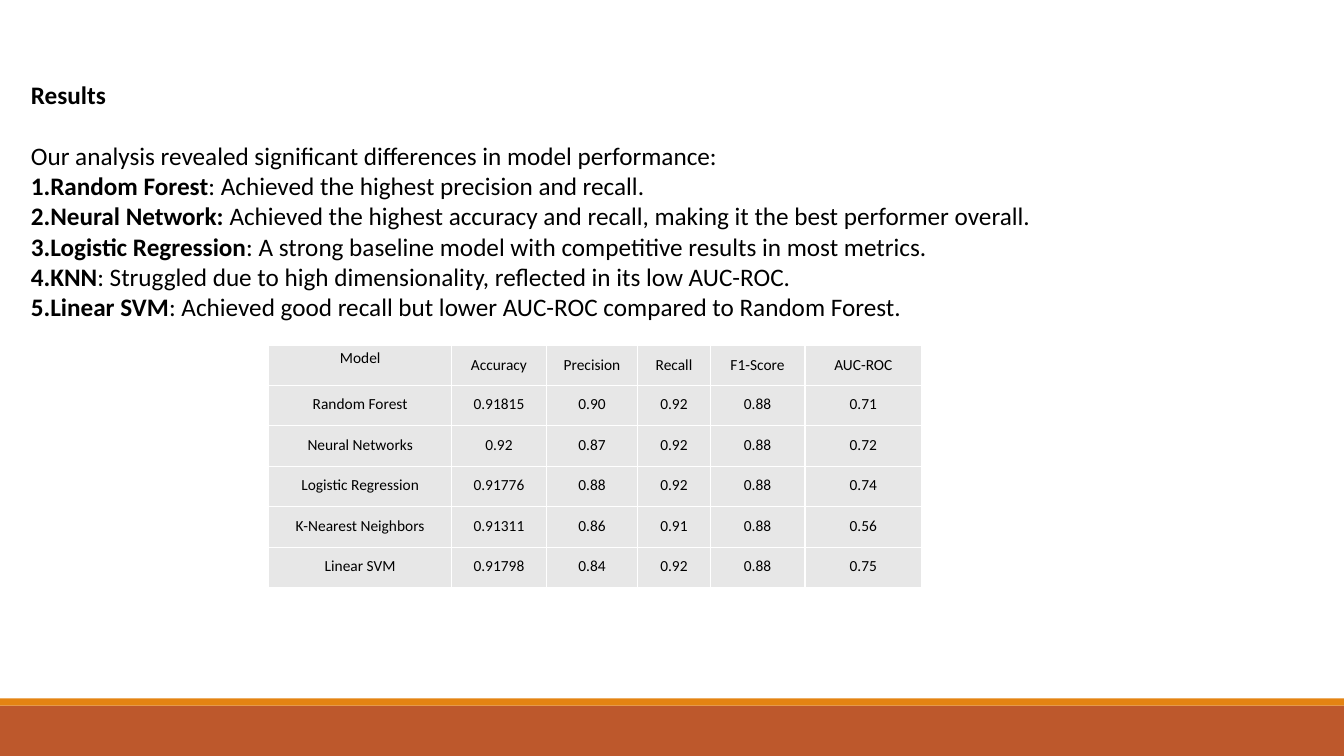
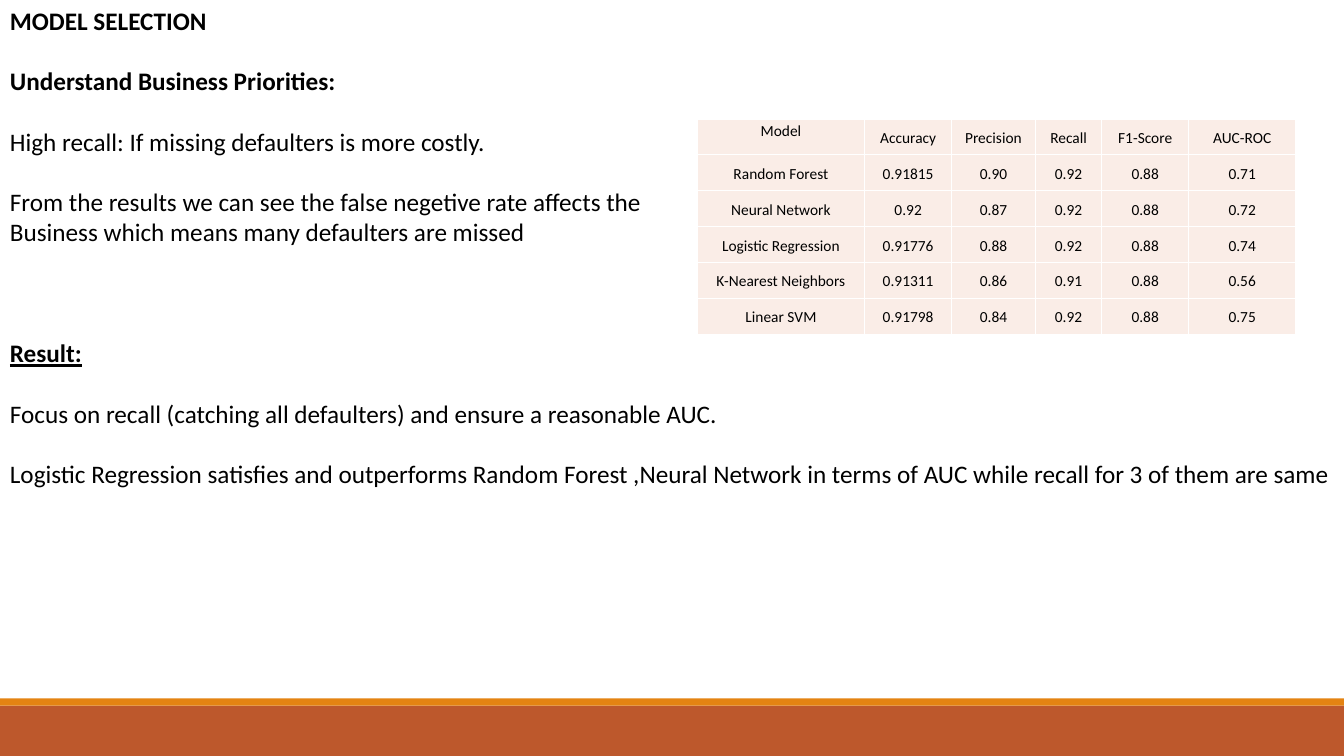
from dataclasses import dataclass

from lxml import etree
from pptx import Presentation
from pptx import util as u
from pptx.dml.color import RGBColor
from pptx.enum import shapes, text
from pptx.oxml import ns

# The slide is a grid of square units, 80 columns by 45 rows.
COLUMNS, ROWS = 80, 45
UNIT = u.Inches(7.5) / ROWS


@dataclass(frozen=True)
class Theme:
    font: str = "Calibri"
    body_size: float = 18
    body_line: float = 21.6
    table_size: float = 11
    table_spacing: float = 1.15
    ink: str = "000000"
    band: str = "BD582C"
    accent: str = "E48312"
    border: str = "FFFFFF"
    grey_cell: str = "E7E7E7"
    peach_cell: str = "FAEDE7"


THEME = Theme()
CELL_INSET = u.Inches(0.07)
COLUMN_SHARES = (0.28, 0.145, 0.14, 0.111, 0.145, 0.179)
HEADINGS = ("Model", "Accuracy", "Precision", "Recall", "F1-Score", "AUC-ROC")


def score_rows(neural_label):
    return (
        HEADINGS,
        ("Random Forest", "0.91815", "0.90", "0.92", "0.88", "0.71"),
        (neural_label, "0.92", "0.87", "0.92", "0.88", "0.72"),
        ("Logistic Regression", "0.91776", "0.88", "0.92", "0.88", "0.74"),
        ("K-Nearest Neighbors", "0.91311", "0.86", "0.91", "0.88", "0.56"),
        ("Linear SVM", "0.91798", "0.84", "0.92", "0.88", "0.75"),
    )


@dataclass(frozen=True)
class Line:
    """A paragraph: bold lead, plain rest, and the empty lines above it."""
    lead: str = ""
    rest: str = ""
    gap: int = 0
    numbered: bool = False
    underline: bool = False


RESULTS = (
    Line("Results"),
    Line(rest="Our analysis revealed significant differences in model performance:", gap=1),
    Line("Random Forest", ": Achieved the highest precision and recall.", numbered=True),
    Line("Neural Network: ",
         "Achieved the highest accuracy and recall, making it the best performer overall.",
         numbered=True),
    Line("Logistic Regression",
         ": A strong baseline model with competitive results in most metrics.", numbered=True),
    Line("KNN", ": Struggled due to high dimensionality, reflected in its low AUC-ROC.",
         numbered=True),
    Line("Linear SVM", ": Achieved good recall but lower AUC-ROC compared to Random Forest.",
         numbered=True),
)

SELECTION = (
    Line("MODEL SELECTION"),
    Line("Understand Business Priorities:", gap=1),
    Line(rest="High recall: If missing defaulters is more costly.", gap=1),
    Line(rest="From the results we can see the false negetive rate affects the", gap=1),
    Line(rest="Business which means many defaulters are missed"),
    Line("Result:", gap=3, underline=True),
    Line(rest="Focus on recall (catching all defaulters) and ensure a reasonable AUC.", gap=1),
    Line(rest="Logistic Regression satisfies and outperforms Random Forest ,Neural Network"
              " in terms of AUC while recall for 3 of them are same", gap=1),
)


def grid(*lengths):
    return [u.Emu(round(length * UNIT)) for length in lengths]


def color(code):
    return RGBColor.from_string(code)


def style_run(run, size, bold=False, underline=False):
    font = run.font
    font.name, font.size = THEME.font, u.Pt(size)
    font.bold, font.underline = bold, underline
    font.color.rgb = color(THEME.ink)


def add_band(slide, top, height, fill):
    band = slide.shapes.add_shape(shapes.MSO_SHAPE.RECTANGLE, *grid(0, top, COLUMNS, height))
    band.shadow.inherit = False
    band.fill.solid()
    band.fill.fore_color.rgb = color(fill)
    band.line.fill.background()


def add_slide(presentation):
    """Add a blank slide with the footer bands."""
    slide = presentation.slides.add_slide(presentation.slide_layouts[6])
    add_band(slide, 42, 3, THEME.band)
    add_band(slide, 41.58, 0.42, THEME.accent)
    return slide


def number_paragraph(paragraph):
    properties = paragraph._p.get_or_add_pPr()
    properties.set("marL", "0")
    properties.set("indent", "0")
    etree.SubElement(properties, ns.qn("a:buAutoNum"), type="arabicPeriod")


def add_text(slide, lines, left, top, width, height):
    frame = slide.shapes.add_textbox(*grid(left, top, width, height)).text_frame
    frame.word_wrap = True
    for index, line in enumerate(lines):
        paragraph = frame.add_paragraph() if index else frame.paragraphs[0]
        paragraph.space_before = u.Pt(line.gap * THEME.body_line)
        if line.numbered:
            number_paragraph(paragraph)
        for words, bold in ((line.lead, True), (line.rest, False)):
            if words:
                run = paragraph.add_run()
                run.text = words
                style_run(run, THEME.body_size, bold, line.underline)


def set_borders(cell):
    properties = cell._tc.get_or_add_tcPr()
    for position, side in enumerate(("lnL", "lnR", "lnT", "lnB")):
        border = etree.Element(ns.qn(f"a:{side}"), w=str(u.Pt(1)))
        fill = etree.SubElement(border, ns.qn("a:solidFill"))
        etree.SubElement(fill, ns.qn("a:srgbClr"), val=THEME.border)
        properties.insert(position, border)


def fill_cell(cell, words, fill, inset):
    cell.margin_left = cell.margin_right = cell.margin_top = cell.margin_bottom = inset
    cell.vertical_anchor = text.MSO_ANCHOR.TOP
    cell.fill.solid()
    cell.fill.fore_color.rgb = color(fill)
    set_borders(cell)
    paragraph = cell.text_frame.paragraphs[0]
    paragraph.text = words
    paragraph.alignment = text.PP_ALIGN.CENTER
    paragraph.line_spacing = THEME.table_spacing
    style_run(paragraph.runs[0], THEME.table_size)


def add_score_table(slide, rows, left, top, width, heading_height, row_height, fill):
    heights = [heading_height] + [row_height] * (len(rows) - 1)
    table = slide.shapes.add_table(
        len(rows), len(HEADINGS), *grid(left, top, width, sum(heights))).table
    table.first_row = table.horz_banding = False
    for column, share in zip(table.columns, COLUMN_SHARES):
        column.width, = grid(share * width)
    for row, height in zip(table.rows, grid(*heights)):
        row.height = height
    for row_index, row in enumerate(rows):
        for column_index, words in enumerate(row):
            inset = CELL_INSET if row_index or column_index else 0
            fill_cell(table.cell(row_index, column_index), words, fill, inset)


def main():
    presentation = Presentation()
    presentation.slide_width, presentation.slide_height = grid(COLUMNS, ROWS)

    results = add_slide(presentation)
    add_text(results, RESULTS, 1.25, 4.45, 78.6, 15.1)
    add_score_table(results, score_rows("Neural Networks"), 16, 20.58, 38.88, 2.35, 2.41,
                    THEME.grey_cell)

    selection = add_slide(presentation)
    add_text(selection, SELECTION, 0, 0, COLUMNS, 29.7)
    add_score_table(selection, score_rows("Neural Network"), 41.5, 7.08, 35.64, 2.12, 2.14,
                    THEME.peach_cell)

    presentation.save("out.pptx")


if __name__ == "__main__":
    main()
